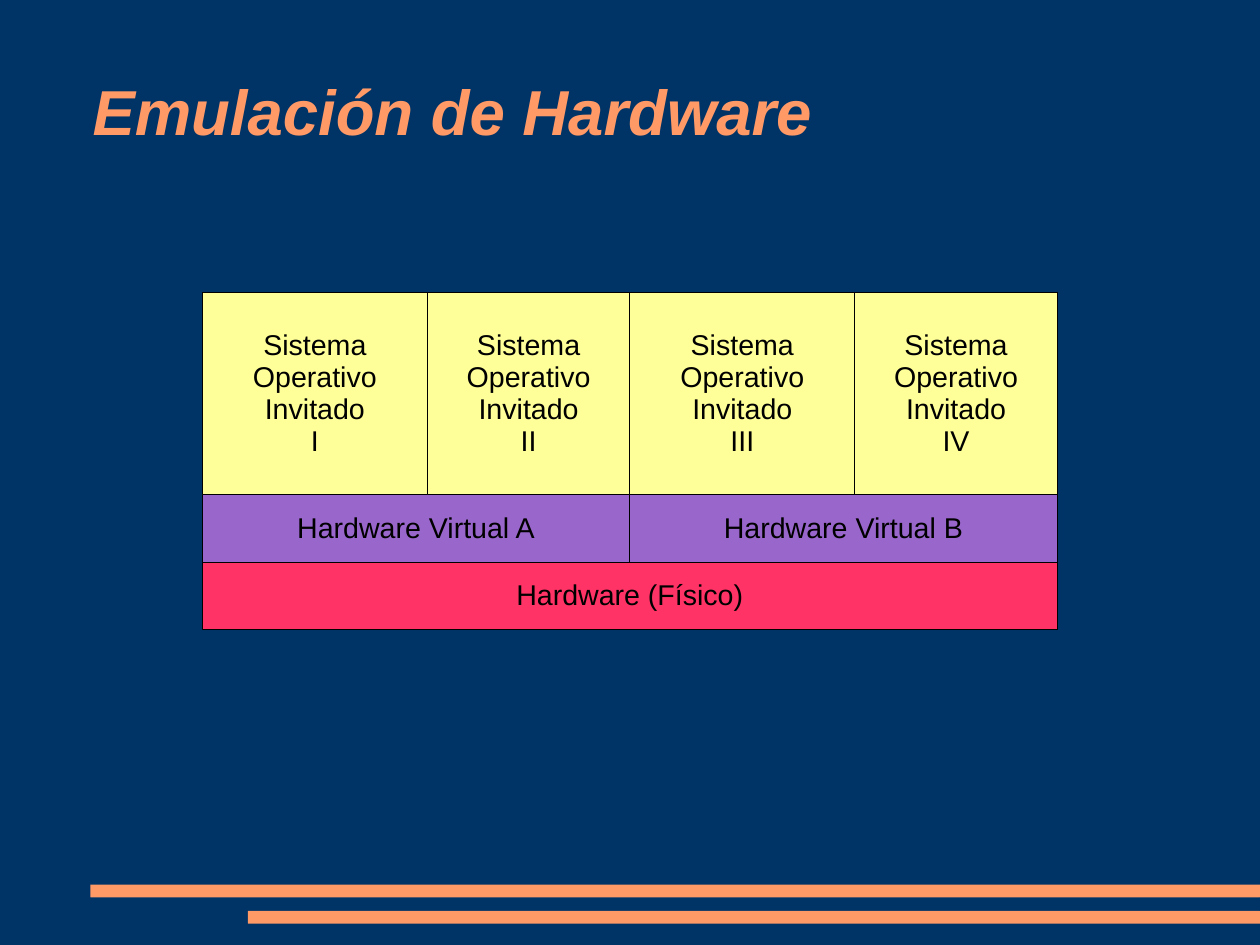
from dataclasses import dataclass

from pptx import Presentation
from pptx.dml.color import RGBColor
from pptx.enum.shapes import MSO_SHAPE
from pptx.enum.text import MSO_ANCHOR, MSO_AUTO_SIZE, PP_ALIGN
from pptx.util import Inches, Pt


@dataclass(frozen=True)
class Theme:
    back: str = "003366"
    accent: str = "FF9966"
    guest: str = "FFFF99"
    virtual: str = "9966CC"
    metal: str = "FF3366"
    ink: str = "000000"
    font: str = "Arial"
    head: int = 40
    body: int = 18
    line: float = 0.75
    spacing: float = 0.93


THEME = Theme()
# The page is 28 by 21 cm, given in inches.
WIDTH, HEIGHT = 28 / 2.54, 21 / 2.54


def color(code):
    return RGBColor.from_string(code)


def style(frame, size, ink, align, strong=False):
    frame.vertical_anchor = MSO_ANCHOR.MIDDLE
    for para in frame.paragraphs:
        para.alignment = align
        para.line_spacing = THEME.spacing
        for run in para.runs:
            font = run.font
            font.name, font.size = THEME.font, Pt(size)
            font.bold = font.italic = strong
            font.color.rgb = color(ink)


def add_box(slide, kind, box, fill):
    """Add a flat filled shape; box is left, top, width, height in inches."""
    shape = slide.shapes.add_shape(kind, *map(Inches, box))
    shape.shadow.inherit = False
    shape.fill.solid()
    shape.fill.fore_color.rgb = color(fill)
    return shape


def add_bars(slide, left, top):
    """Draw two bars that run to the right edge, the lower one indented."""
    for indent, drop in ((0, 0), (1.38, 0.23)):
        start = left + indent
        box = (start, top + drop, WIDTH - start, 0.11)
        bar = add_box(slide, MSO_SHAPE.ROUNDED_RECTANGLE, box, THEME.accent)
        bar.adjustments[0] = 0.02
        bar.line.fill.background()


def add_title(slide, box, text):
    title = slide.shapes.title
    title.left, title.top, title.width, title.height = map(Inches, box)
    frame = title.text_frame
    frame.text = text
    frame.auto_size = MSO_AUTO_SIZE.NONE
    frame.margin_left = frame.margin_right = 0
    frame.margin_top = frame.margin_bottom = 0
    style(frame, THEME.head, THEME.accent, PP_ALIGN.LEFT, strong=True)


def add_block(slide, box, fill, text):
    block = add_box(slide, MSO_SHAPE.RECTANGLE, box, fill)
    block.line.color.rgb = color(THEME.ink)
    block.line.width = Pt(THEME.line)
    frame = block.text_frame
    frame.text = text
    frame.word_wrap = False
    style(frame, THEME.body, THEME.ink, PP_ALIGN.CENTER)


def add_stack(slide, box):
    """Stack the physical, virtual and guest layers from the bottom up."""
    left, top, width, height = box
    half, thin = width / 2, 0.59
    wide = 1.97
    guests = [f"Sistema\vOperativo\vInvitado\n{mark}"
              for mark in ("I", "II", "III", "IV")]
    layers = (
        (thin, THEME.metal, [width], ["Hardware (Físico)"]),
        (thin, THEME.virtual, [half] * 2,
         ["Hardware Virtual A", "Hardware Virtual B"]),
        (height - 2 * thin, THEME.guest, [wide, half - wide] * 2, guests),
    )
    y = top + height
    for tall, fill, spans, labels in layers:
        y -= tall
        x = left
        for span, label in zip(spans, labels):
            add_block(slide, (x, y, span, tall), fill, label)
            x += span


def main():
    deck = Presentation()
    deck.slide_width, deck.slide_height = Inches(WIDTH), Inches(HEIGHT)
    slide = deck.slides.add_slide(deck.slide_layouts[5])
    slide.background.fill.solid()
    slide.background.fill.fore_color.rgb = color(THEME.back)
    add_bars(slide, 0.79, 7.74)
    add_title(slide, (0.81, 0.31, 9.41, 1.38), "Emulación de Hardware")
    add_stack(slide, (1.77, 2.56, 7.48, 2.95))
    deck.save("out.pptx")


if __name__ == "__main__":
    main()
